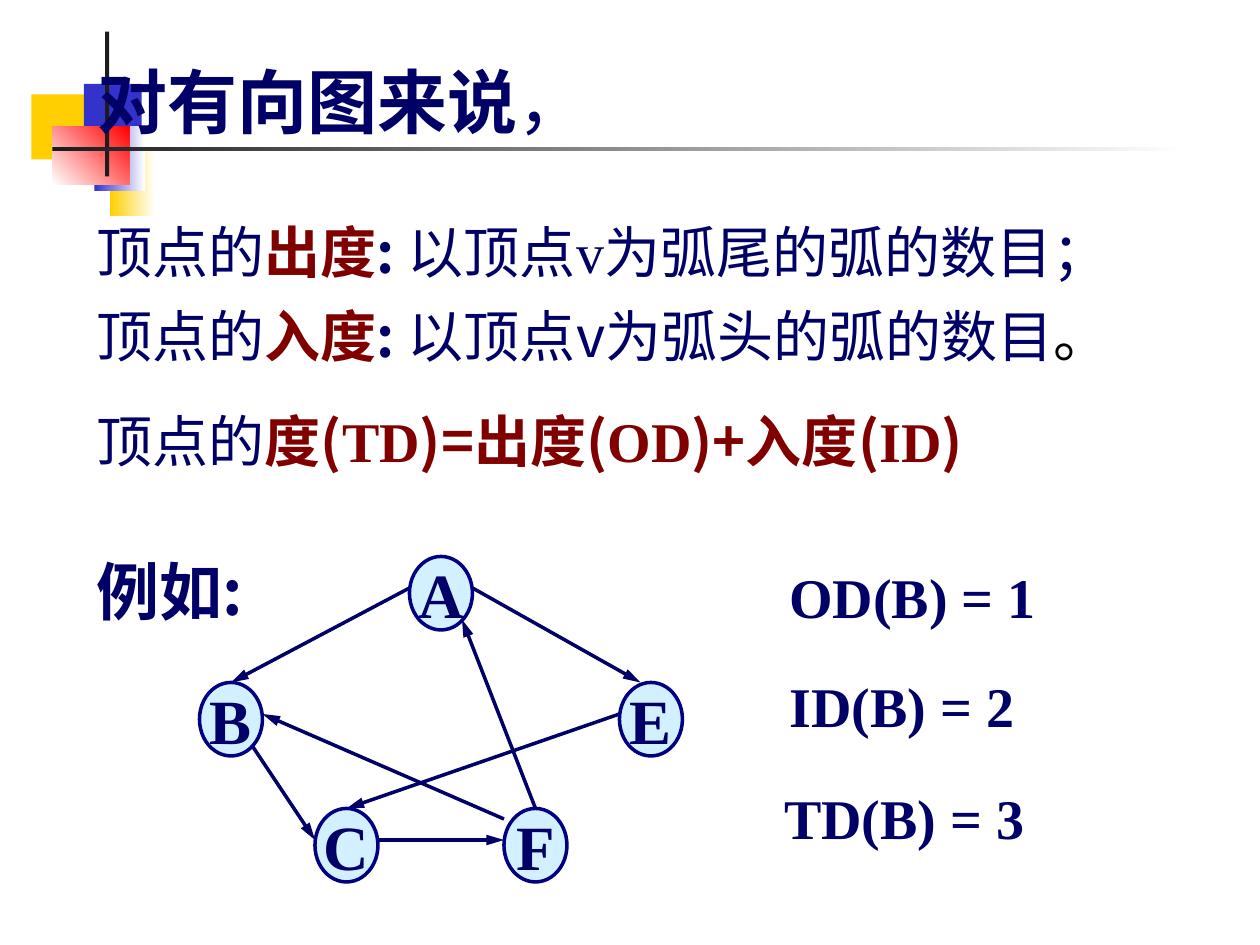
import pptx
import pptx.dml.color
import pptx.enum.shapes
import pptx.enum.text
import pptx.oxml
import pptx.oxml.ns
import pptx.util

RGBColor = pptx.dml.color.RGBColor
NAVY = RGBColor(0x00, 0x00, 0x66)
OUTLINE = RGBColor(0x00, 0x00, 0x80)
MAROON = RGBColor(0x80, 0x00, 0x00)
BLACK = RGBColor(0x00, 0x00, 0x00)
WHITE = RGBColor(0xFF, 0xFF, 0xFF)
GOLD = RGBColor(0xFF, 0xCF, 0x01)
BLUE = RGBColor(0x33, 0x33, 0xCC)
RED = RGBColor(0xFF, 0x00, 0x00)
CHARCOAL = RGBColor(0x1C, 0x1C, 0x1C)
SKY = RGBColor(0xA7, 0xE2, 0xFF)

HAN = "Noto Sans CJK SC"
ROMAN = "Times New Roman"
COLUMNS, ROWS = 120, 90


class Canvas:
    def __init__(self, deck, slide):
        self.slide = slide
        self.cell_width = deck.slide_width / COLUMNS
        self.cell_height = deck.slide_height / ROWS

    def place(self, column, row):
        return round(column * self.cell_width), round(row * self.cell_height)

    def add_child(self, parent, tag, **attributes):
        child = pptx.oxml.parse_xml(f"<a:{tag} {pptx.oxml.ns.nsdecls('a')}/>")
        for name, value in attributes.items():
            child.set(name, value)
        parent.append(child)

    def shape(self, kind, area, colors, angle=0):
        shape = self.slide.shapes.add_shape(kind, *self.place(*area[:2]), *self.place(*area[2:]))
        shape.shadow.inherit = False
        shape.line.fill.background()
        if len(colors) == 1:
            shape.fill.solid()
            shape.fill.fore_color.rgb = colors[0]
        else:
            shape.fill.gradient()
            shape.fill.gradient_angle = angle
            for stop, color in zip(shape.fill.gradient_stops, colors):
                stop.color.rgb = color
        return shape

    def add_spans(self, para, pieces, size):
        for text, font, color, bold in pieces:
            span = para.add_run()
            span.text = text
            span.font.size = pptx.util.Pt(size)
            span.font.name = font
            span.font.bold = bold
            span.font.color.rgb = color
            self.add_child(span.font._element, "ea", typeface=font)

    def placeholder(self, box, area, lines, size, spacing, gaps):
        box.left, box.top = self.place(*area[:2])
        box.width, box.height = self.place(*area[2:])
        self.slide.shapes._spTree.append(box._element)
        frame = box.text_frame
        frame.auto_size = pptx.enum.text.MSO_AUTO_SIZE.NONE
        frame.vertical_anchor = pptx.enum.text.MSO_ANCHOR.TOP
        for index, pieces in enumerate(lines):
            para = frame.add_paragraph() if index else frame.paragraphs[0]
            para.alignment = pptx.enum.text.PP_ALIGN.LEFT
            para.line_spacing = spacing
            para.space_before = pptx.util.Pt(gaps[index])
            properties = para._p.get_or_add_pPr()
            properties.set("marL", "0")
            properties.set("indent", "0")
            self.add_child(properties, "buNone")
            self.add_spans(para, pieces, size)

    def label(self, area, text, font, size):
        box = self.slide.shapes.add_textbox(*self.place(*area[:2]), *self.place(*area[2:]))
        box.text_frame.word_wrap = True
        self.add_spans(box.text_frame.paragraphs[0], [(text, font, NAVY, True)], size)

    def arrow(self, start, end):
        line = self.slide.shapes.add_connector(
            pptx.enum.shapes.MSO_CONNECTOR.STRAIGHT, *self.place(*start), *self.place(*end))
        line.line.color.rgb = NAVY
        line.line.width = pptx.util.Pt(2)
        self.add_child(line.line._get_or_add_ln(), "tailEnd", type="triangle", w="med", len="lg")
        self.add_child(line._element.spPr, "effectLst")

    def node(self, column, row, name):
        oval = self.shape(pptx.enum.shapes.MSO_SHAPE.OVAL, (column, row, 6, 7), [SKY])
        color = oval._element.spPr.find(".//" + pptx.oxml.ns.qn("a:srgbClr"))
        self.add_child(color, "alpha", val="50000")
        oval.line.color.rgb = OUTLINE
        oval.line.width = pptx.util.Pt(2)
        frame = oval.text_frame
        frame.word_wrap = False
        frame.vertical_anchor = pptx.enum.text.MSO_ANCHOR.MIDDLE
        frame.paragraphs[0].alignment = pptx.enum.text.PP_ALIGN.CENTER
        self.add_spans(frame.paragraphs[0], [(name, ROMAN, NAVY, True)], 36)


def draw_ornament(canvas):
    parts = [
        ((3, 9, 5.8, 6.2), [GOLD], 0),
        ((10.5, 14.4, 4.3, 6.2), [GOLD, WHITE], 0),
        ((8, 8, 5.5, 6.2), [BLUE], 0),
        ((9, 12, 4.8, 6.2), [BLUE, WHITE], 0),
        ((5, 12, 7.3, 5.6), [WHITE, RED], 45),
        ((10, 3, 0.4, 13.8), [CHARCOAL], 0),
        ((5, 14, 108, 0.4), [CHARCOAL, WHITE], 0),
    ]
    for area, colors, angle in parts:
        canvas.shape(pptx.enum.shapes.MSO_SHAPE.RECTANGLE, area, colors, angle)


def draw_text(canvas):
    title, body = canvas.slide.placeholders
    heading = [("对有向图来说", HAN, NAVY, True), ("，", HAN, NAVY, False)]
    canvas.placeholder(title, (8.1, 3, 49, 11.3), [heading], 40, 1.25, [0])
    subject = ("顶点的", HAN, NAVY, False)
    colon = (": ", HAN, NAVY, True)
    out_degree = [subject, ("出度", HAN, MAROON, True), colon, ("以顶点", HAN, NAVY, False),
                  ("v", ROMAN, NAVY, False), ("为弧尾的弧的数目；", HAN, NAVY, False)]
    in_degree = [subject, ("入度", HAN, MAROON, True), colon,
                 ("以顶点v为弧头的弧的数目", HAN, NAVY, False), ("。", HAN, BLACK, False)]
    formula = [("度(", HAN), ("TD", ROMAN), (")=出度(", HAN), ("OD", ROMAN),
               (")+入度(", HAN), ("ID", ROMAN), (")", HAN)]
    total = [subject] + [(text, font, MAROON, True) for text, font in formula]
    canvas.placeholder(body, (8, 18.5, 109, 28), [out_degree, in_degree, total], 32,
                       pptx.util.Pt(48), [0, 0, 12])
    canvas.label((8, 52, 17.5, 15.6), "例如:", HAN, 36)
    for column, row, text in [(74, 53, "OD(B) = 1"), (74, 63.4, "ID(B) = 2"), (73.5, 74, "TD(B) = 3")]:
        canvas.label((column, row, 30, 7.7), text, ROMAN, 32)


def draw_graph(canvas):
    edges = [
        ((39, 56), (22, 65)), ((24, 71), (30, 80)), ((36, 80), (48, 80)),
        ((51, 77), (44, 59)), ((45, 56), (61, 65)), ((48, 78), (25, 68)),
        ((59, 68), (33, 77)),
    ]
    for start, end in edges:
        canvas.arrow(start, end)
    for column, row, name in [(39, 53, "A"), (19, 65, "B"), (59, 65, "E"), (30, 77, "C"), (48, 77, "F")]:
        canvas.node(column, row, name)


def main():
    deck = pptx.Presentation()
    deck.slide_width = pptx.util.Inches(10)
    deck.slide_height = pptx.util.Inches(7.5)
    canvas = Canvas(deck, deck.slides.add_slide(deck.slide_layouts[1]))
    draw_ornament(canvas)
    draw_text(canvas)
    draw_graph(canvas)
    deck.save("out.pptx")


if __name__ == "__main__":
    main()
